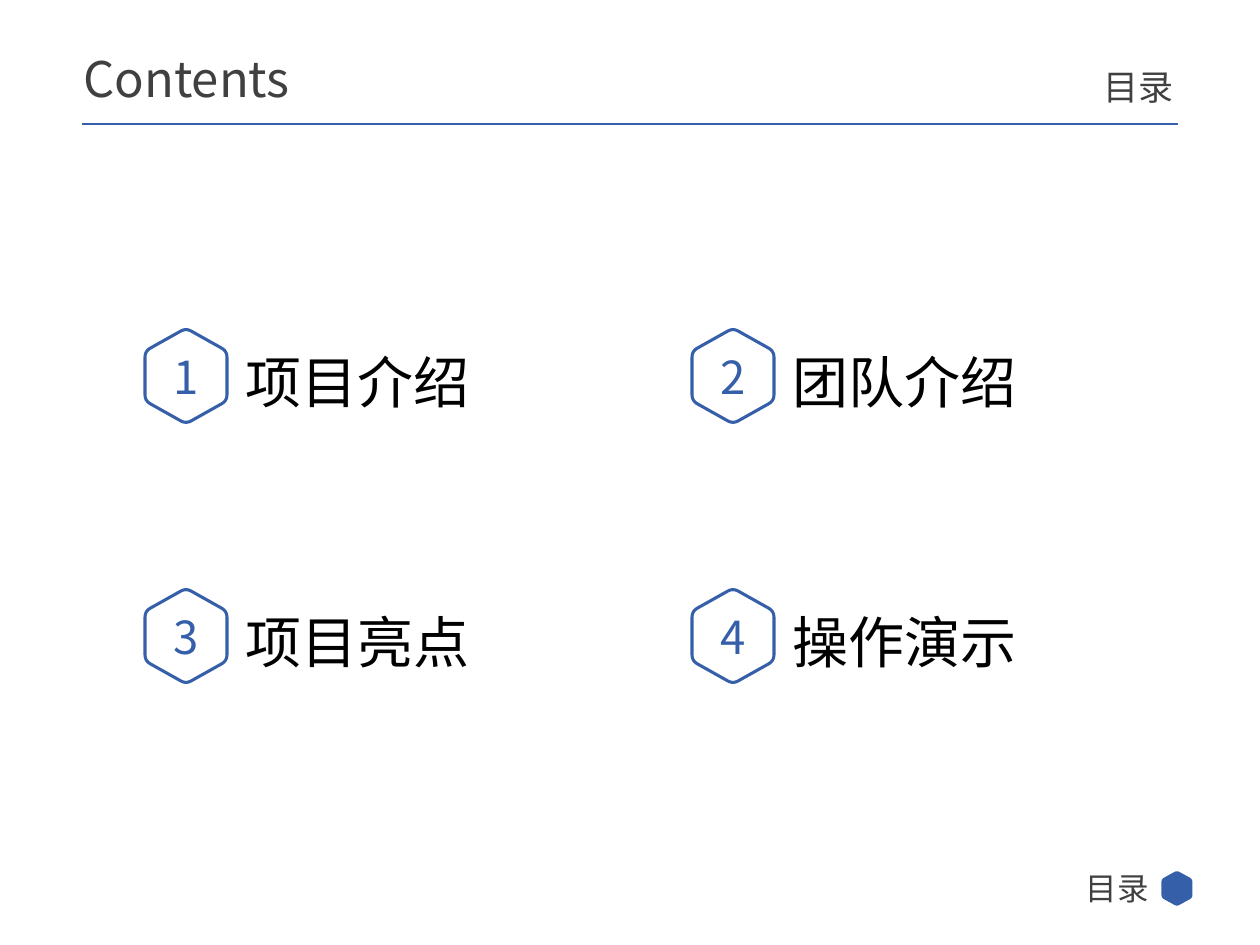
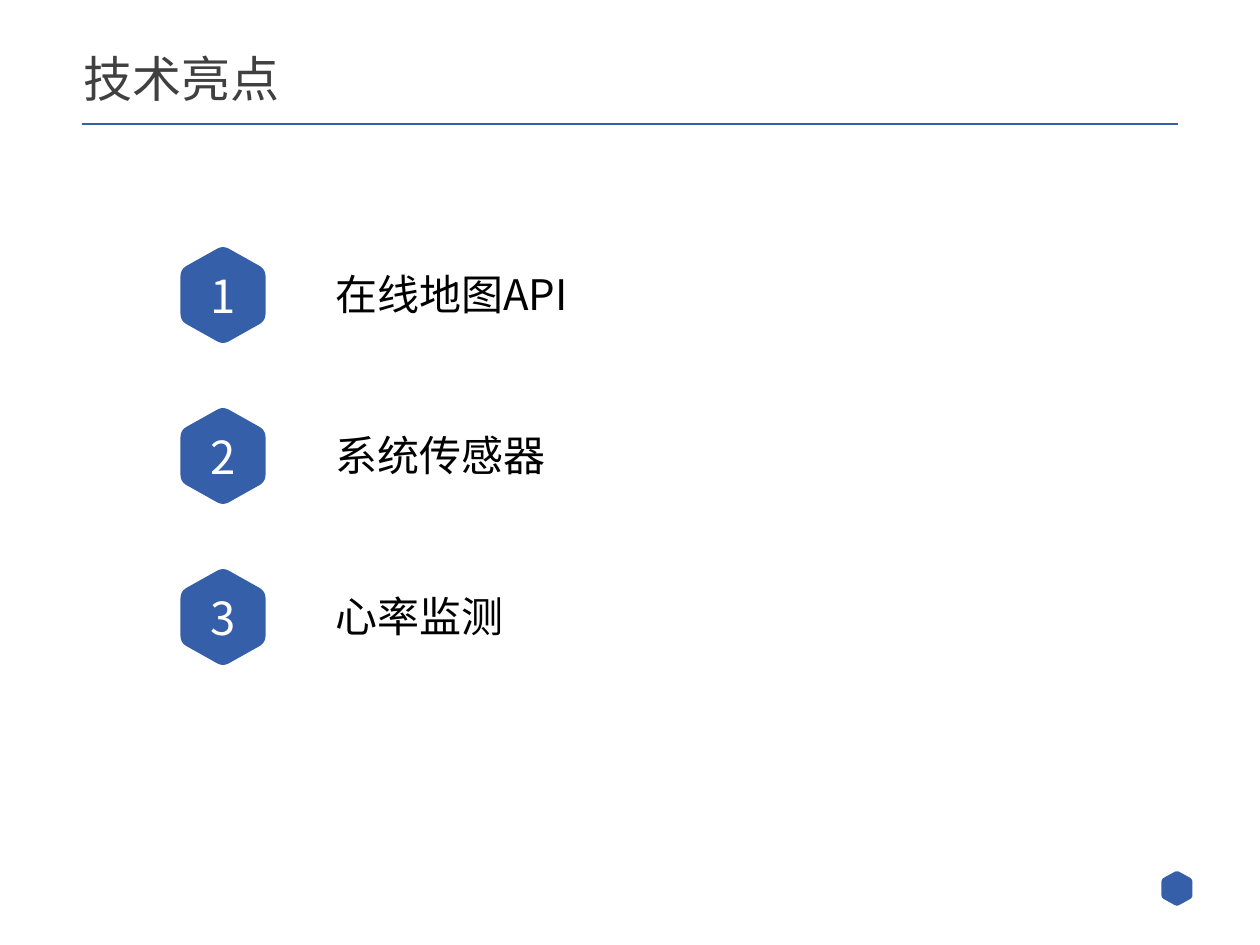
from dataclasses import dataclass

from lxml.etree import SubElement
from pptx import Presentation
from pptx.dml.color import RGBColor
from pptx.enum.shapes import MSO_CONNECTOR
from pptx.enum.text import MSO_ANCHOR, MSO_AUTO_SIZE, PP_ALIGN
from pptx.oxml.ns import qn
from pptx.util import Emu, Pt


@dataclass(frozen=True)
class Theme:
    font: str = "Noto Sans CJK SC"
    accent: str = "365FAA"
    heading: str = "404040"
    text: str = "000000"
    white: str = "FFFFFF"
    title_size: int = 28
    side_title_size: int = 20
    number_size: int = 26
    topic_size: int = 32
    item_size: int = 24
    footer_size: int = 18
    rule_width: float = 1.5
    outline_width: float = 1.75


THEME = Theme()
SLIDE_BOX = (0, 0, 1260, 945)
BADGE_SIZE = (82, 92)
TITLE_ONLY_LAYOUT = 5
CONTENT_LAYOUT = 1
HEXAGON = [(0.5, -0.02), (1, 0.23), (1, 0.77), (0.5, 1.02), (0, 0.77), (0, 0.23)]
CORNER = 0.13
CORNER_STEPS = 6


def px(length):
    return Emu(round(length * 914400 / 126))


def place(shape, box):
    shape.left, shape.top, shape.width, shape.height = map(px, box)


def write(shape, text, *, size, color=THEME.text, align=PP_ALIGN.LEFT,
          line_spacing=1.0, side_inset=12.6):
    frame = shape.text_frame
    frame.word_wrap = True
    frame.auto_size = MSO_AUTO_SIZE.NONE
    frame.vertical_anchor = MSO_ANCHOR.MIDDLE
    frame.margin_left = frame.margin_right = px(side_inset)
    frame.margin_top = frame.margin_bottom = 0
    paragraph = frame.paragraphs[0]
    paragraph.alignment = align
    paragraph.line_spacing = line_spacing
    paragraph.space_before = Pt(0)
    properties = paragraph._p.get_or_add_pPr()
    properties.set("marL", "0")
    properties.set("indent", "0")
    SubElement(properties, qn("a:buNone"))
    run = paragraph.add_run()
    run.text = text
    run.font.size = Pt(size)
    run.font.color.rgb = RGBColor.from_string(color)
    run.font.name = THEME.font
    SubElement(run._r.get_or_add_rPr(), qn("a:ea"), typeface=THEME.font)


def add_label(slide, box, text, **text_format):
    label = slide.shapes.add_textbox(*map(px, box))
    write(label, text, **text_format)


def rounded_hexagon_points(box):
    left, top, width, height = box
    vertices = [(left + x * width, top + y * height) for x, y in HEXAGON]
    points = []
    for index, corner in enumerate(vertices):
        before = vertices[index - 1]
        after = vertices[(index + 1) % len(vertices)]
        start = [c + (b - c) * CORNER for c, b in zip(corner, before)]
        end = [c + (a - c) * CORNER for c, a in zip(corner, after)]
        for step in range(CORNER_STEPS + 1):
            t = step / CORNER_STEPS
            points.append(tuple(
                px((1 - t) ** 2 * s + 2 * t * (1 - t) * c + t ** 2 * e)
                for s, c, e in zip(start, corner, end)))
    return points


def add_hexagon(slide, box, filled=True):
    first, *others = rounded_hexagon_points(box)
    builder = slide.shapes.build_freeform(*first, scale=1.0)
    builder.add_line_segments(others, close=True)
    hexagon = builder.convert_to_shape()
    hexagon.shadow.inherit = False
    accent = RGBColor.from_string(THEME.accent)
    if filled:
        hexagon.fill.solid()
        hexagon.fill.fore_color.rgb = accent
    else:
        hexagon.fill.background()
    hexagon.line.color.rgb = accent
    hexagon.line.width = Pt(THEME.outline_width)
    return hexagon


def add_badge(slide, left, top, number, filled):
    badge = add_hexagon(slide, (left, top, *BADGE_SIZE), filled)
    write(badge, str(number), size=THEME.number_size,
          color=THEME.white if filled else THEME.accent,
          align=PP_ALIGN.CENTER, side_inset=0)


def add_header(slide, box, title, side_title=None):
    left, top, width, _ = box
    rule_y = px(top + 124)
    rule = slide.shapes.add_connector(
        MSO_CONNECTOR.STRAIGHT, px(left + 82), rule_y, px(left + width - 82), rule_y)
    rule.line.color.rgb = RGBColor.from_string(THEME.accent)
    rule.line.width = Pt(THEME.rule_width)
    SubElement(rule._element.spPr, qn("a:effectLst"))

    place(slide.shapes.title, (left + 71, top + 52, 665, 60))
    write(slide.shapes.title, title, size=THEME.title_size,
          color=THEME.heading, line_spacing=0.9)
    if side_title:
        body = slide.placeholders[1]
        place(body, (left + width - 500, top + 67, 426, 45))
        write(body, side_title, size=THEME.side_title_size, color=THEME.heading,
              align=PP_ALIGN.RIGHT, line_spacing=0.9)


def add_footer(slide, box, section=None):
    left, top, width, height = box
    right, bottom = left + width, top + height
    add_hexagon(slide, (right - 97, bottom - 72, 28, 31))
    if section:
        add_label(slide, (right - 457, bottom - 82, 358, 50), section,
                  size=THEME.footer_size, color=THEME.heading, align=PP_ALIGN.RIGHT)


def add_topic_grid(slide, box, topics, columns=2):
    left, top, width, height = box
    rows = len(topics) // columns
    for index, topic in enumerate(topics):
        row, column = divmod(index, columns)
        x = left + column * width // columns
        y = top + row * height // rows
        add_badge(slide, x, y, index + 1, filled=False)
        add_label(slide, (x + 88, y + 11, 383, 81), topic, size=THEME.topic_size)


def add_item_list(slide, box, items):
    left, top, width, height = box
    for index, item in enumerate(items):
        y = top + index * height // len(items)
        add_badge(slide, left, y, index + 1, filled=True)
        add_label(slide, (left + 141, y + 13, width - 141, 63), item,
                  size=THEME.item_size)


def add_contents_slide(presentation):
    slide = presentation.slides.add_slide(presentation.slide_layouts[CONTENT_LAYOUT])
    add_header(slide, SLIDE_BOX, "Contents", "目录")
    add_topic_grid(slide, (145, 330, 1094, 520),
                   ["项目介绍", "团队介绍", "项目亮点", "操作演示"])
    add_footer(slide, SLIDE_BOX, "目录")


def add_highlights_slide(presentation):
    slide = presentation.slides.add_slide(presentation.slide_layouts[TITLE_ONLY_LAYOUT])
    add_header(slide, SLIDE_BOX, "技术亮点")
    add_item_list(slide, (182, 249, 952, 483),
                  ["在线地图API", "系统传感器", "心率监测"])
    add_footer(slide, SLIDE_BOX)


def main():
    presentation = Presentation()
    presentation.slide_width = px(SLIDE_BOX[2])
    presentation.slide_height = px(SLIDE_BOX[3])
    add_contents_slide(presentation)
    add_highlights_slide(presentation)
    presentation.save("out.pptx")


if __name__ == "__main__":
    main()
